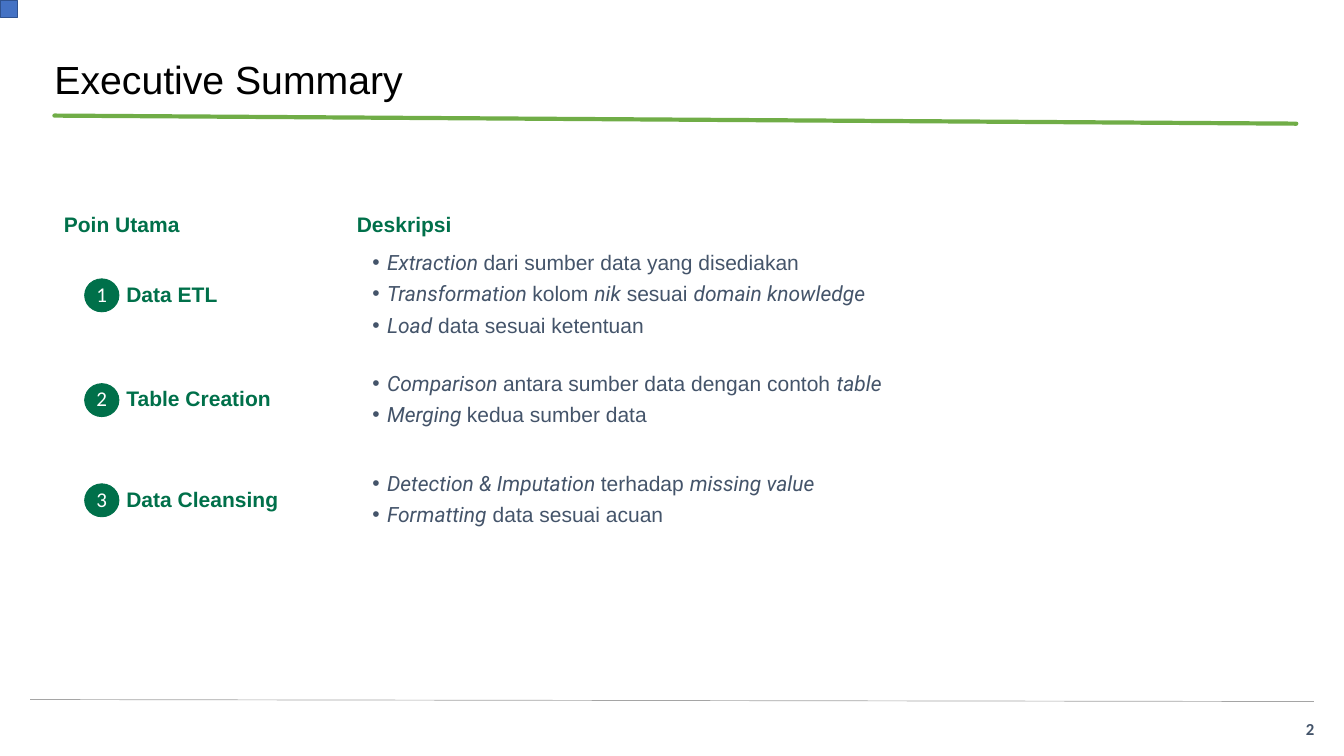
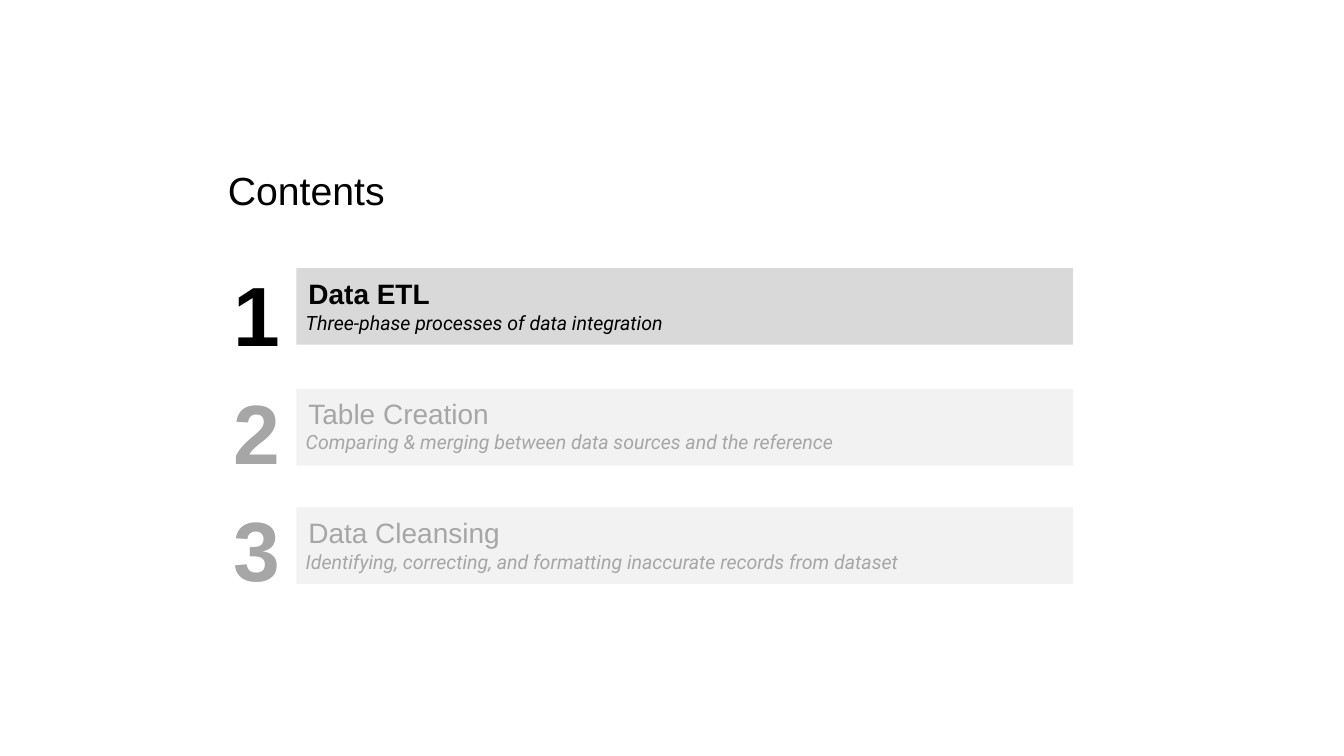
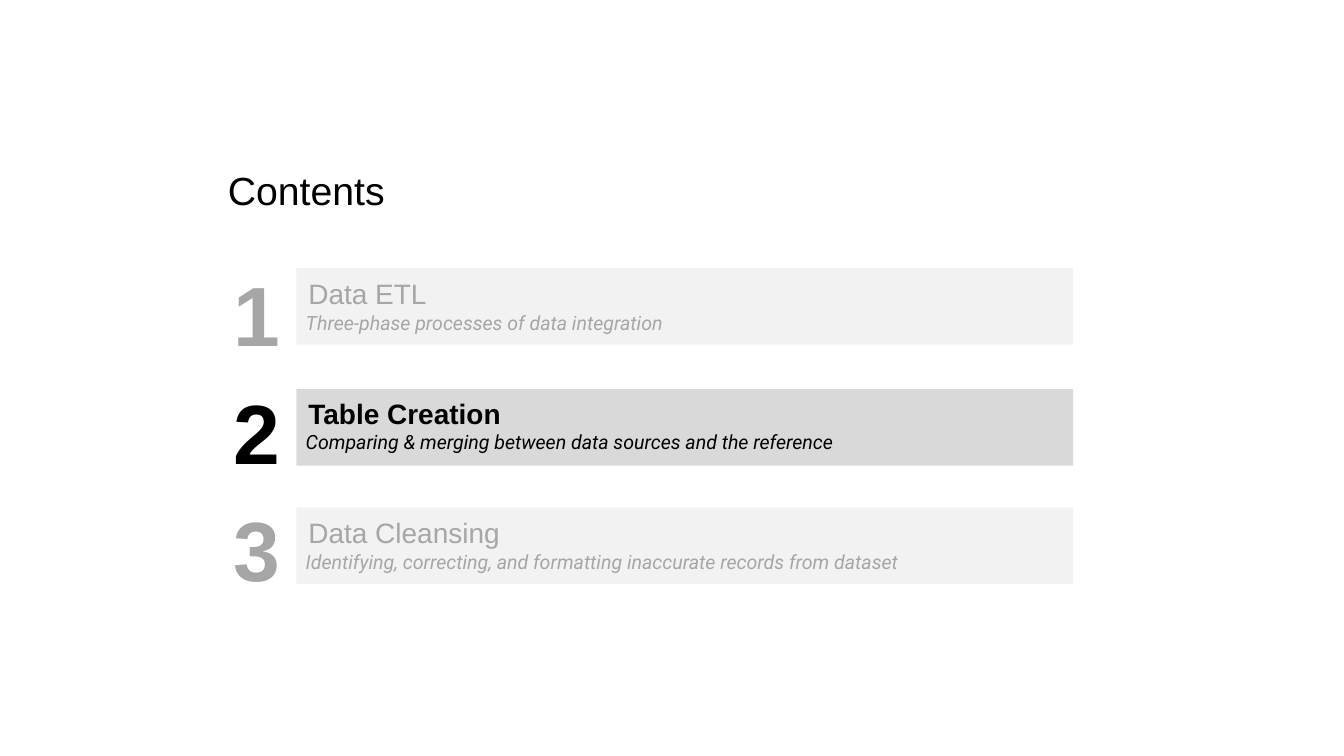
from dataclasses import dataclass

from lxml import etree
from pptx import Presentation
from pptx.dml.color import RGBColor
from pptx.enum.shapes import MSO_CONNECTOR, MSO_SHAPE
from pptx.enum.text import MSO_ANCHOR, MSO_AUTO_SIZE, PP_ALIGN
from pptx.oxml.ns import qn
from pptx.util import Inches, Pt

LEFT, CENTER, RIGHT = PP_ALIGN.LEFT, PP_ALIGN.CENTER, PP_ALIGN.RIGHT
TOP, MIDDLE, BOTTOM = MSO_ANCHOR.TOP, MSO_ANCHOR.MIDDLE, MSO_ANCHOR.BOTTOM
RECTANGLE, OVAL = MSO_SHAPE.RECTANGLE, MSO_SHAPE.OVAL
STRAIGHT = MSO_CONNECTOR.STRAIGHT

# The page is a grid of 100 columns by 100 rows.
PAGE_WIDTH, PAGE_HEIGHT = Inches(20), Inches(11.25)
COLUMN, ROW = PAGE_WIDTH / 100, PAGE_HEIGHT / 100
TITLE_ONLY = 5


@dataclass(frozen=True)
class Theme:
    sans: str = "Arial"
    accent_font: str = "Roboto"
    digit_font: str = "Calibri"
    black: str = "000000"
    white: str = "FFFFFF"
    green: str = "00704A"
    rule_green: str = "70AD47"
    slate: str = "44546A"
    gray: str = "A5A5A5"
    muted: str = "A6A6A6"
    bar_active: str = "D9D9D9"
    bar_idle: str = "F2F2F2"
    corner: str = "4472C4"
    corner_edge: str = "2F528F"
    title_size: float = 42
    body_size: float = 22.5
    page_number_size: float = 18
    topic_size: float = 30
    subtitle_size: float = 21
    number_size: float = 90


THEME = Theme()


@dataclass(frozen=True)
class Box:
    """An area in grid columns (left, width) and rows (top, height)."""
    left: float
    top: float
    width: float
    height: float

    def inner(self, left, top, width, height):
        return Box(self.left + left, self.top + top, width, height)

    def lengths(self):
        return (round(self.left * COLUMN), round(self.top * ROW),
                round(self.width * COLUMN), round(self.height * ROW))


@dataclass(frozen=True)
class Topic:
    name: str
    subtitle: str
    points: tuple  # words between asterisks are italic
    row_top: float
    bar_top: float
    leading: float


TOPICS = (
    Topic("Data ETL", "Three-phase processes of data integration",
          ("*Extraction *dari sumber data yang disediakan",
           "*Transformation *kolom *nik* sesuai *domain knowledge*",
           "*Load* data sesuai ketentuan"), 5.25, 2.84, 1.25),
    Topic("Table Creation",
          "Comparing & merging between data sources and the reference",
          ("*Comparison *antara sumber data dengan contoh *table*",
           "*Merging *kedua sumber data"), 19.11, 18.84, 1.2),
    Topic("Data Cleansing",
          "Identifying, correcting, and formatting inaccurate records from dataset",
          ("*Detection & Imputation *terhadap *missing value*",
           "*Formatting* data sesuai acuan"), 32.36, 34.49, 1.25),
)


def color(value):
    return RGBColor.from_string(value)


def style_font(font, size, fill, name=THEME.sans, bold=False, italic=False):
    font.size, font.name, font.bold, font.italic = Pt(size), name, bold, italic
    font.color.rgb = color(fill)


def set_frame(frame, anchor, bottom=0.0, side=0.0):
    frame.word_wrap = True
    frame.auto_size = MSO_AUTO_SIZE.NONE
    frame.vertical_anchor = anchor
    frame.margin_top, frame.margin_bottom = 0, Inches(bottom)
    frame.margin_left = frame.margin_right = Inches(side)


def style_line(para, size, fill, leading=1.2, align=LEFT, **font):
    para.alignment = align
    para.line_spacing = Pt(round(size * leading, 1))
    para.space_before = Pt(0)
    for span in para.runs:
        style_font(span.font, size, fill, **font)


def set_indent(para, margin, hanging=0.0):
    properties = para._p.get_or_add_pPr()
    properties.set("marL", str(Inches(margin)))
    properties.set("indent", str(-Inches(hanging)))
    return properties


def add_text(page, box, text, size, fill, anchor=MIDDLE, **style):
    frame = page.shapes.add_textbox(*box.lengths()).text_frame
    set_frame(frame, anchor)
    frame.text = text
    style_line(frame.paragraphs[0], size, fill, **style)


def add_filled(page, kind, box, fill, edge=None):
    shape = page.shapes.add_shape(kind, *box.lengths())
    shape.shadow.inherit = False
    shape.fill.solid()
    shape.fill.fore_color.rgb = color(fill)
    if edge:
        shape.line.color.rgb = color(edge)
        shape.line.width = Pt(1)
    else:
        shape.line.fill.background()
    return shape


def add_rule(page, box, fill, width, cap="flat"):
    left, top, across, down = box.lengths()
    rule = page.shapes.add_connector(STRAIGHT, left, top, left + across, top + down)
    rule.line.color.rgb = color(fill)
    rule.line.width = Pt(width)
    rule.line._get_or_add_ln().set("cap", cap)
    etree.SubElement(rule._element.spPr, qn("a:effectLst"))


def add_page(deck, title, box):
    page = deck.slides.add_slide(deck.slide_layouts[TITLE_ONLY])
    holder = page.shapes.title
    holder.left, holder.top, holder.width, holder.height = box.lengths()
    set_frame(holder.text_frame, MIDDLE)
    holder.text_frame.text = title
    style_line(holder.text_frame.paragraphs[0], THEME.title_size, THEME.black, 1.08)
    return page


def add_badge(page, box, number):
    badge = add_filled(page, OVAL, box, THEME.green, THEME.green)
    set_frame(badge.text_frame, MIDDLE, bottom=0.05)
    badge.text_frame.text = str(number)
    style_line(badge.text_frame.paragraphs[0], THEME.body_size, THEME.white,
               align=CENTER, name=THEME.digit_font)


def add_points(page, box, points):
    frame = page.shapes.add_textbox(*box.lengths()).text_frame
    set_frame(frame, TOP)
    for index, point in enumerate(points):
        para = frame.add_paragraph() if index else frame.paragraphs[0]
        style_line(para, THEME.body_size, THEME.slate, 1.5)
        properties = set_indent(para, 0.45, 0.22)
        etree.SubElement(properties, qn("a:buFont")).set("typeface", THEME.sans)
        etree.SubElement(properties, qn("a:buChar")).set("char", "•")
        for part, words in enumerate(point.split("*")):
            if words:
                italic = part % 2 == 1
                span = para.add_run()
                span.text = words
                style_font(span.font, THEME.body_size, THEME.slate, italic=italic,
                           name=THEME.accent_font if italic else THEME.sans)


def add_summary_row(page, box, number, topic):
    add_badge(page, box.inner(1.55, 4.71, 2.55, 4.36), number)
    add_text(page, box.inner(4.65, 0, 15.75, box.height), topic.name,
             THEME.body_size, THEME.green, bold=True)
    height = 4.22 * len(topic.points)
    top = (box.height - height) / 2 - 0.36
    add_points(page, box.inner(21.8, top, 69.9, height), topic.points)


def add_summary(page, box):
    for left, heading in ((0, "Poin Utama"), (21.8, "Deskripsi")):
        add_text(page, box.inner(left, 0, 20.1, 4.44), heading,
                 THEME.body_size, THEME.green, BOTTOM, bold=True)
    for number, topic in enumerate(TOPICS, 1):
        row = box.inner(0, topic.row_top, box.width, 13.33)
        add_summary_row(page, row, number, topic)


def add_summary_page(deck):
    page = add_page(deck, "Executive Summary", Box(4.05, 6.49, 91.4, 8.44))
    add_filled(page, RECTANGLE, Box(0, 0, 1.3, 2.33), THEME.corner, THEME.corner_edge)
    add_summary(page, Box(4.75, 26.93, 91.7, 45.7))
    add_rule(page, Box(4.05, 15.29, 92.4, 1.07), THEME.rule_green, 4.5, "rnd")
    add_rule(page, Box(2.25, 92.53, 95.5, 0.27), THEME.gray, 0.75)
    add_text(page, Box(94.75, 93.6, 3.05, 5.6), "2", THEME.page_number_size,
             THEME.slate, align=RIGHT, name=THEME.digit_font, bold=True)


def add_topic_bar(page, box, topic, active):
    bar = add_filled(page, RECTANGLE, box,
                     THEME.bar_active if active else THEME.bar_idle)
    ink = THEME.black if active else THEME.muted
    frame = bar.text_frame
    set_frame(frame, MIDDLE, bottom=0.06, side=0.06)
    frame.text = f"{topic.name}\n{topic.subtitle}"
    name, subtitle = frame.paragraphs
    style_line(name, THEME.topic_size, ink, topic.leading, bold=active)
    style_line(subtitle, THEME.subtitle_size, ink, topic.leading,
               name=THEME.accent_font, italic=True)
    set_indent(name, 0.12)
    set_indent(subtitle, 0.08)


def add_contents_page(deck, current):
    """Add the list of topics with the current one highlighted."""
    page = add_page(deck, "Contents", Box(16.95, 18.4, 66.05, 13.96))
    box = Box(16.95, 32.62, 62.9, 48.63)
    for index, topic in enumerate(TOPICS):
        active = topic is current
        add_text(page, box.inner(0, 15.56 * index, 4.3, 17.51), str(index + 1),
                 THEME.number_size, THEME.black if active else THEME.muted,
                 align=CENTER, bold=True)
        add_topic_bar(page, box.inner(5.1, topic.bar_top, 57.8, 10.13), topic, active)


def main():
    deck = Presentation()
    deck.slide_width, deck.slide_height = PAGE_WIDTH, PAGE_HEIGHT
    add_summary_page(deck)
    for topic in TOPICS[:2]:
        add_contents_page(deck, topic)
    deck.save("out.pptx")


if __name__ == "__main__":
    main()
